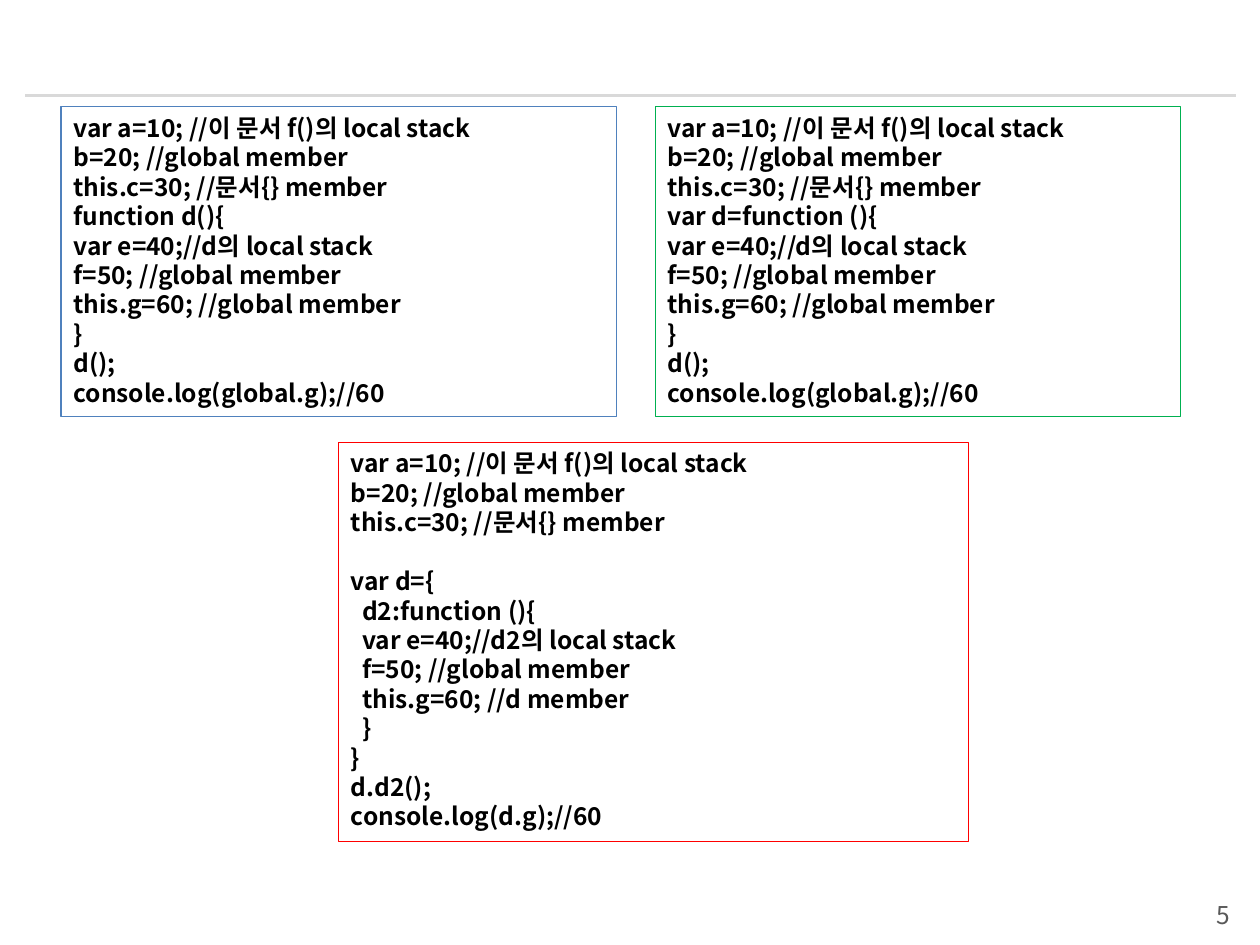
import pptx
import pptx.dml.color
import pptx.enum.shapes
import pptx.enum.text
import pptx.oxml.ns
import pptx.util
from lxml import etree

Pt = pptx.util.Pt
RGBColor = pptx.dml.color.RGBColor
Align = pptx.enum.text.PP_ALIGN
Anchor = pptx.enum.text.MSO_ANCHOR
qn = pptx.oxml.ns.qn

FONT = "Noto Sans CJK KR"
BLACK = RGBColor(0x00, 0x00, 0x00)
GRAY = RGBColor(0x59, 0x59, 0x59)
LIGHT_GRAY = RGBColor(0xD9, 0xD9, 0xD9)
BLUE = RGBColor(0x4F, 0x81, 0xBD)
GREEN = RGBColor(0x00, 0xB0, 0x50)
RED = RGBColor(0xFF, 0x00, 0x00)

LINE_HEIGHT = 16.8
INDENT = 6.5

# Code shared by the examples
MEMBERS = [
    "var a=10; //이 문서 f()의 local stack",
    "b=20; //global member",
    "this.c=30; //문서{} member",
]
BODY = [
    "var e=40;//d의 local stack",
    "f=50; //global member",
    "this.g=60; //global member",
    "}",
    "d();",
    "console.log(global.g);//60",
]
METHOD = [
    "d2:function (){",
    "var e=40;//d2의 local stack",
    "f=50; //global member",
    "this.g=60; //d member",
    "}",
]
OBJECT_END = ["}", "d.d2();", "console.log(d.g);//60"]


def add_text(frame, text, color=BLACK, bold=False, align=Align.LEFT,
             before=0, indent=0):
    """Write one paragraph, using the empty first one if there is one."""
    para = frame.paragraphs[0]
    if para.runs:
        para = frame.add_paragraph()
    para.alignment = align
    para.space_before = Pt(before)
    if indent:
        para._p.get_or_add_pPr().set("marL", str(Pt(indent)))
    span = para.add_run()
    span.text = text
    span.font.name = FONT
    span.font.size = Pt(14)
    span.font.bold = bold
    span.font.color.rgb = color
    # Korean letters take their font from a:ea
    east_asian = etree.SubElement(span.font._element, qn("a:ea"))
    east_asian.set("typeface", FONT)


def add_code_box(page, left, top, width, height, color):
    box = page.shapes.add_shape(
        pptx.enum.shapes.MSO_SHAPE.RECTANGLE,
        Pt(left), Pt(top), Pt(width), Pt(height))
    box.shadow.inherit = False
    box.fill.background()
    box.line.color.rgb = color
    box.line.width = Pt(0.75)
    frame = box.text_frame
    frame.word_wrap = True
    frame.vertical_anchor = Anchor.TOP
    return frame


def add_code(frame, lines, **style):
    for line in lines:
        add_text(frame, line, bold=True, **style)


def add_rule(page, left, right, top):
    rule = page.shapes.add_connector(
        pptx.enum.shapes.MSO_CONNECTOR.STRAIGHT,
        Pt(left), Pt(top), Pt(right), Pt(top))
    rule.line.color.rgb = LIGHT_GRAY
    rule.line.width = Pt(1.5)
    etree.SubElement(rule._element.spPr, qn("a:effectLst"))


def add_page_number(page, number):
    box = page.shapes.add_textbox(Pt(656), Pt(508.5), Pt(54), Pt(28.8))
    box.text_frame.word_wrap = True
    box.text_frame.vertical_anchor = Anchor.MIDDLE
    add_text(box.text_frame, number, color=GRAY, align=Align.RIGHT, before=7)


def main():
    deck = pptx.Presentation()
    deck.slide_width, deck.slide_height = Pt(720), Pt(540)
    page = deck.slides.add_slide(deck.slide_layouts[6])

    # Page frame
    add_rule(page, 14.4, 706.3, 54.7)
    add_page_number(page, "5")

    # Function declaration and function expression
    for left, width, color, opening in (
            (34.9, 317.5, BLUE, "function d(){"),
            (374.4, 300.2, GREEN, "var d=function (){")):
        frame = add_code_box(page, left, 61, width, 177.2, color)
        add_code(frame, MEMBERS + [opening] + BODY)

    # Method of an object
    frame = add_code_box(page, 193.4, 252.7, 360, 228, RED)
    add_code(frame, MEMBERS)
    add_code(frame, ["var d={"], before=LINE_HEIGHT)
    add_code(frame, METHOD, indent=INDENT)
    add_code(frame, OBJECT_END)

    deck.save("out.pptx")


main()
